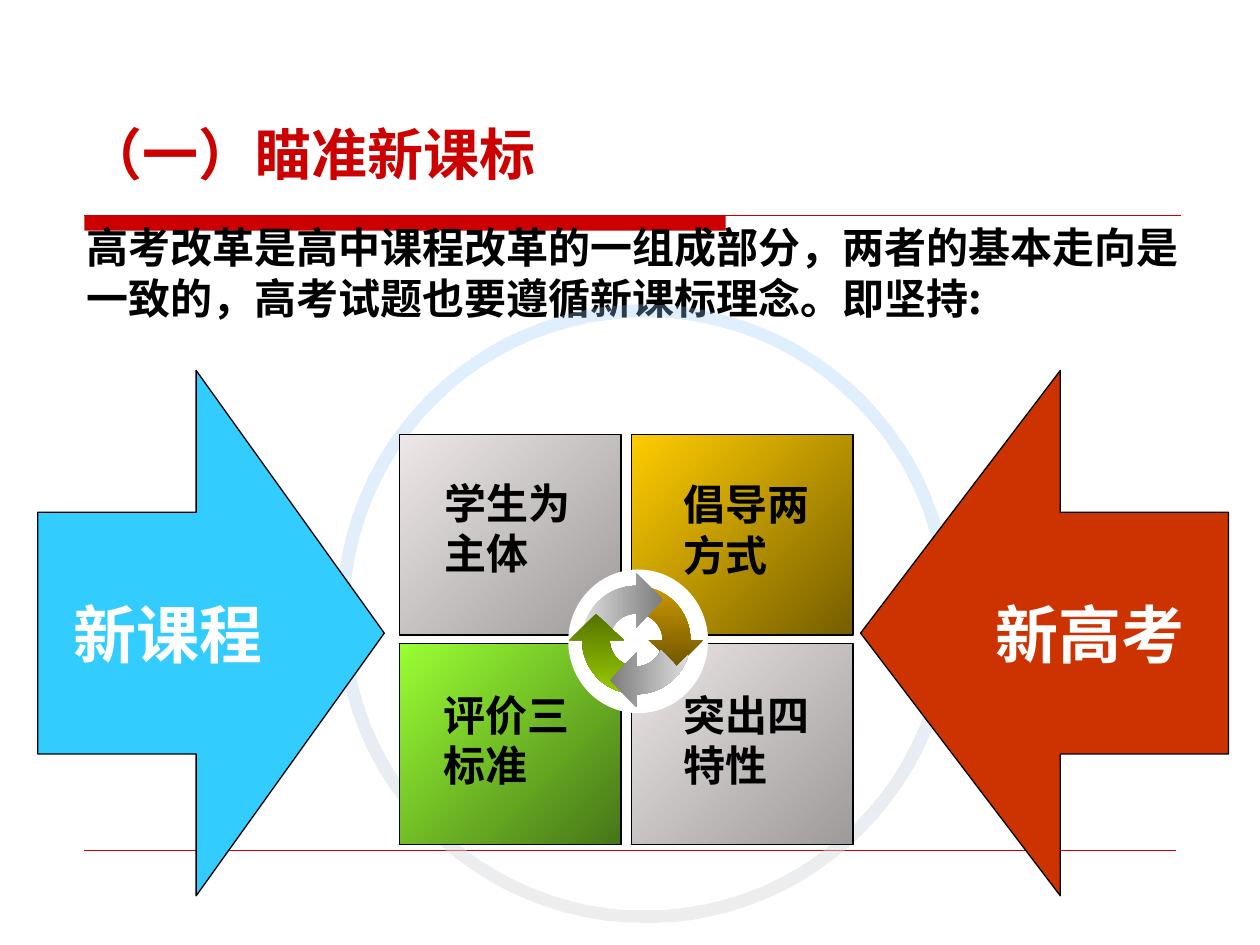
from math import cos, sin, radians
from lxml.etree import SubElement
from pptx import Presentation
from pptx.dml.color import RGBColor as Rgb
from pptx.enum.shapes import MSO_SHAPE as Kind, MSO_CONNECTOR as Link
from pptx.enum.text import MSO_ANCHOR as Anchor, MSO_AUTO_SIZE as Auto, PP_ALIGN as Align
from pptx.oxml.ns import qn
from pptx.util import Inches, Pt

theme = {
    "red": "CC0000", "black": "000000", "white": "FFFFFF",
    "sky": "33CCFF", "rust": "CC3300",
    "lime": ("99FF33", "477618"), "gold": ("FFCC00", "765E00"),
    "stone": ("EDE8E7", "9D9A99"), "halo": ("99CCFF", "DDDDDD"),
    "bronze": ("CC9900", "725600"), "olive": ("567200", "99CC00"),
    "steel": ("DDDDDD", "7C7C7C"), "iron": ("7C7C7C", "DDDDDD"),
    "title": 32, "text": 24, "arrow": 36,
    "sans": "DejaVu Sans", "han": "Noto Sans CJK SC",
}


def paint(shape, fill, angle=0, edge=None):
    shape.shadow.inherit = False
    if isinstance(fill, tuple):
        shape.fill.gradient()
        shape.fill.gradient_angle = -angle % 360
        for stop, color, place in zip(shape.fill.gradient_stops, fill, (0, 1)):
            stop.color.rgb = Rgb.from_string(color)
            stop.position = place
    else:
        shape.fill.solid()
        shape.fill.fore_color.rgb = Rgb.from_string(fill)
    if edge:
        shape.line.color.rgb = Rgb.from_string(edge)
        shape.line.width = Pt(0.75)
    else:
        shape.line.fill.background()


def write(para, text, size, color, face):
    run = para.add_run()
    run.text = text
    font = run.font
    font.size = Pt(size)
    font.bold = True
    font.color.rgb = Rgb.from_string(color)
    font.name = face
    SubElement(run._r.get_or_add_rPr(), qn("a:ea"), typeface=face)


deck = Presentation()
deck.slide_width, deck.slide_height = Inches(10), Inches(7.5)
slide = deck.slides.add_slide(deck.slide_layouts[5])
shapes = slide.shapes

bar = shapes.add_shape(Kind.RECTANGLE, Inches(0.67), Inches(1.71), Inches(5.09), Inches(0.12))
paint(bar, theme["red"])
for end, y, width in ((9.37, 1.71, 0.75), (9.33, 6.75, 0.25)):
    rule = shapes.add_connector(Link.STRAIGHT, Inches(0.67), Inches(y), Inches(end), Inches(y))
    rule.line.color.rgb = Rgb.from_string(theme["red"])
    rule.line.width = Pt(width)
    SubElement(rule._element.spPr, qn("a:effectLst"))

intro = shapes.add_textbox(Inches(0.59), Inches(1.71), Inches(9.06), Inches(0.9))
frame = intro.text_frame
frame.word_wrap = True
frame.vertical_anchor = Anchor.MIDDLE
write(frame.paragraphs[0],
      "高考改革是高中课程改革的一组成部分，两者的基本走向是一致的，高考试题也要遵循新课标理念。即坚持:",
      theme["text"], theme["black"], theme["han"])

ring = shapes.add_shape(Kind.DONUT, Inches(2.67), Inches(2.42), Inches(4.9), Inches(4.9))
ring.adjustments[0] = 0.021
paint(ring, theme["halo"], 90)
for tint, alpha in zip(ring._element.spPr.iter(qn("a:srgbClr")), ("30000", "50000")):
    SubElement(tint, qn("a:alpha"), val=alpha)

tiles = (
    (3.17, 5.11, "lime"), (5.01, 5.11, "stone"),
    (3.17, 3.45, "stone"), (5.01, 3.45, "gold"),
)
for x, y, tone in tiles:
    tile = shapes.add_shape(Kind.RECTANGLE, Inches(x), Inches(y), Inches(1.76), Inches(1.59))
    paint(tile, theme[tone], 45, theme["black"])

hub = shapes.add_shape(Kind.OVAL, Inches(4.51), Inches(4.52), Inches(1.11), Inches(1.14))
paint(hub, theme["white"])

arrows = (
    (Kind.LEFT_ARROW, 6.83, 2.92, "rust", "新高考"),
    (Kind.RIGHT_ARROW, 0.3, 2.75, "sky", "新课程"),
)
for kind, x, width, tone, text in arrows:
    arrow = shapes.add_shape(kind, Inches(x), Inches(2.94), Inches(width), Inches(4.17))
    arrow.adjustments[0], arrow.adjustments[1] = 0.46, 0.543
    paint(arrow, theme[tone], edge=theme["black"])
    frame = arrow.text_frame
    frame.word_wrap = False
    frame.vertical_anchor = Anchor.MIDDLE
    para = frame.paragraphs[0]
    para.alignment = Align.CENTER
    write(para, text, theme["arrow"], theme["white"], theme["sans"])

labels = (
    (5.33, 3.75, 1.43, 0.9, "倡导两方式"), (3.43, 3.74, 1.25, 0.9, "学生为主体"),
    (5.33, 5.42, 1.42, 1.3, "突出四特性"), (3.42, 5.42, 1.22, 1.3, "评价三标准"),
)
for x, y, width, height, text in labels:
    label = shapes.add_textbox(Inches(x), Inches(y), Inches(width), Inches(height))
    label.text_frame.word_wrap = True
    write(label.text_frame.paragraphs[0], text, theme["text"], theme["black"], theme["sans"])

midx, midy = 5.05, 5.08
inner, outer = 0.21, 0.43
head = [(0.53, 0), (0.32, 0.21), (0.1, 0)]
turns = (
    (0, "bronze", 90, -90, -90, []), (3, "steel", 0, -90, -90, []),
    (2, "olive", 90, -90, -90, []), (1, "iron", 0, -68, -74, [(0.21, -0.32)]),
)
for turn, tone, angle, near, far, notch in turns:
    back = [(inner * cos(radians(near * n / 16)), inner * sin(radians(near * n / 16)))
            for n in range(17)]
    out = [(outer * cos(radians(far * n / 16)), outer * sin(radians(far * n / 16)))
           for n in range(16, -1, -1)]
    spots = back + notch + out + head
    for quarter in range(turn):
        spots = [(-y, x) for x, y in spots]
    spots = [(Inches(midx + x), Inches(midy + y)) for x, y in spots]
    pen = shapes.build_freeform(*spots[0])
    pen.add_line_segments(spots[1:], close=True)
    paint(pen.convert_to_shape(), theme[tone], angle)

title = shapes.title
title.left, title.top = Inches(0.59), Inches(0.52)
title.width, title.height = Inches(8.75), Inches(1.01)
frame = title.text_frame
frame.auto_size = Auto.NONE
frame.vertical_anchor = Anchor.BOTTOM
para = frame.paragraphs[0]
para.alignment = Align.LEFT
write(para, "（一）", theme["title"], theme["red"], theme["sans"])
write(para, "瞄准新课标", theme["title"], theme["red"], theme["han"])

deck.save("out.pptx")
